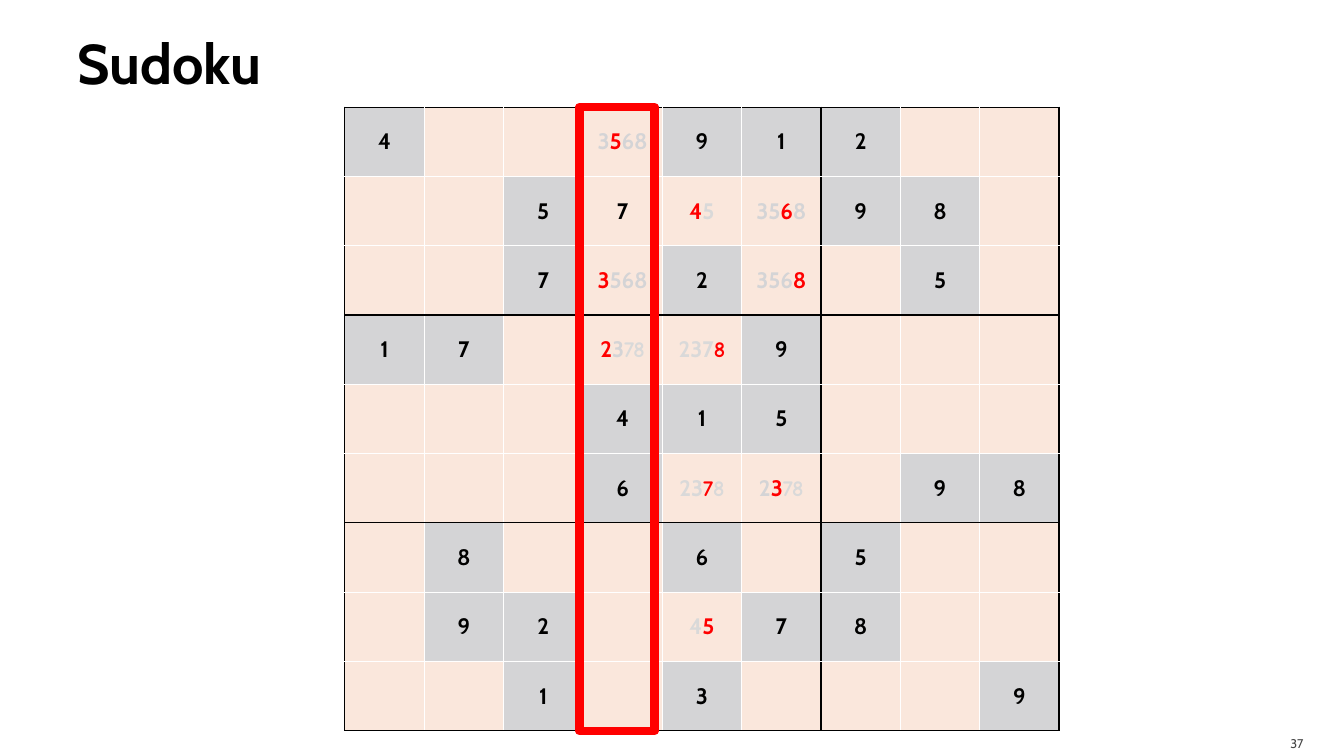
from lxml.etree import SubElement
from pptx import Presentation
from pptx.dml.color import RGBColor
from pptx.enum.shapes import MSO_SHAPE
from pptx.enum.text import MSO_ANCHOR, PP_ALIGN
from pptx.oxml.ns import qn
from pptx.util import Cm, Pt

BLACK, WHITE, RED = "000000", "FFFFFF", "FF0000"
GIVEN_FILL, OPEN_FILL = "D4D4D6", "FAE7DC"
SIZE, BLOCK = 9, 3

# Given digits; a dot is an open cell.
GIVENS = [
    "4...912..",
    "..5...98.",
    "..7.2..5.",
    "17...9...",
    "...415...",
    "...6...98",
    ".8..6.5..",
    ".92..78..",
    "..1.3...9",
]
STYLES = {
    "solved": ("Cabin", BLACK),
    "chosen": ("Cabin", RED),
    "struck": ("Cabin", "D4D4D6"),
    "pale": ("Cabin", "D9D9D9"),
    "chosen note": ("Comic Neue", RED),
    "pale note": ("Comic Neue", "D9D9D9"),
}
# Digits worked out so far, by (row, column).
CANDIDATES = {
    (0, 3): [("3", "struck"), ("5", "chosen"), ("68", "struck")],
    (1, 3): [("7", "solved")],
    (1, 4): [("4", "chosen"), ("5", "pale")],
    (1, 5): [("35", "struck"), ("6", "chosen"), ("8", "struck")],
    (2, 3): [("3", "chosen"), ("568", "struck")],
    (2, 5): [("356", "struck"), ("8", "chosen")],
    (3, 3): [("2", "chosen"), ("3", "struck"), ("78", "pale note")],
    (3, 4): [("237", "pale"), ("8", "chosen note")],
    (5, 4): [("23", "pale"), ("7", "chosen note"), ("8", "pale note")],
    (5, 5): [("2", "struck"), ("3", "chosen"), ("78", "pale note")],
    (7, 4): [("4", "pale"), ("5", "chosen")],
}


def rgb(value):
    return RGBColor.from_string(value)


def format_run(run, size, font_name, color, bold):
    run.font.size = Pt(size)
    run.font.name = font_name
    run.font.color.rgb = rgb(color)
    run.font.bold = bold


def add_label(slide, box, text, size, color, bold, alignment, margins):
    text_box = slide.shapes.add_textbox(*map(Cm, box))
    text_frame = text_box.text_frame
    text_frame.word_wrap = True
    text_frame.vertical_anchor = MSO_ANCHOR.MIDDLE
    (text_frame.margin_left, text_frame.margin_top,
     text_frame.margin_right, text_frame.margin_bottom) = map(Cm, margins)
    text_frame.text = text
    paragraph = text_frame.paragraphs[0]
    paragraph.alignment = alignment
    format_run(paragraph.runs[0], size, "Cabin", color, bold)


def set_borders(cell, row, column):
    """Draw block edges black and inner edges white."""
    edges = {
        "a:lnL": column % BLOCK == 0,
        "a:lnR": column % BLOCK == BLOCK - 1,
        "a:lnT": row % BLOCK == 0,
        "a:lnB": row % BLOCK == BLOCK - 1,
    }
    properties = cell._tc.get_or_add_tcPr()
    for tag, on_block_edge in edges.items():
        line = SubElement(properties, qn(tag), w=str(Pt(1)))
        fill = SubElement(line, qn("a:solidFill"))
        SubElement(fill, qn("a:srgbClr"), val=BLACK if on_block_edge else WHITE)


def fill_cell(cell, row, column):
    digit = GIVENS[row][column]
    is_given = digit != "."
    set_borders(cell, row, column)
    cell.fill.solid()
    cell.fill.fore_color.rgb = rgb(GIVEN_FILL if is_given else OPEN_FILL)
    cell.vertical_anchor = MSO_ANCHOR.MIDDLE
    paragraph = cell.text_frame.paragraphs[0]
    paragraph.alignment = PP_ALIGN.CENTER
    digits = [(digit, "solved")] if is_given else CANDIDATES.get((row, column), [])
    for text, style in digits:
        run = paragraph.add_run()
        run.text = text
        format_run(run, 16, *STYLES[style], True)


def add_sudoku(slide, left, top, width, height):
    table = slide.shapes.add_table(
        SIZE, SIZE, Cm(left), Cm(top), Cm(width), Cm(height)).table
    table.first_row = table.horz_banding = False
    for index in range(SIZE):
        table.columns[index].width = Cm(width / SIZE)
        table.rows[index].height = Cm(height / SIZE)
    for row in range(SIZE):
        for column in range(SIZE):
            fill_cell(table.cell(row, column), row, column)


def add_column_frame(slide, left, top, width, height):
    frame = slide.shapes.add_shape(
        MSO_SHAPE.RECTANGLE, Cm(left), Cm(top), Cm(width), Cm(height))
    frame.shadow.inherit = False
    frame.fill.background()
    frame.line.color.rgb = rgb(RED)
    frame.line.width = Pt(6)


def build_sudoku_slide(presentation):
    slide = presentation.slides.add_slide(presentation.slide_layouts[6])
    add_label(slide, (1.7, 0.2, 30.48, 2.74), "Sudoku", 40, BLACK, True,
              PP_ALIGN.LEFT, (0.25, 0.13, 0.13, 0.13))
    add_label(slide, (30.38, 18.29, 2.72, 0.76), "37", 9, "454545", False,
              PP_ALIGN.RIGHT, (0.25, 0.13, 0.25, 0))
    left, top, width, height = 8.69, 2.7, 18, 15.72
    add_sudoku(slide, left, top, width, height)
    add_column_frame(slide, left + 5.91, top, 1.9, height)


def main():
    presentation = Presentation()
    presentation.slide_width = Cm(33.87)
    presentation.slide_height = Cm(19.05)
    build_sudoku_slide(presentation)
    presentation.save("out.pptx")


if __name__ == "__main__":
    main()
